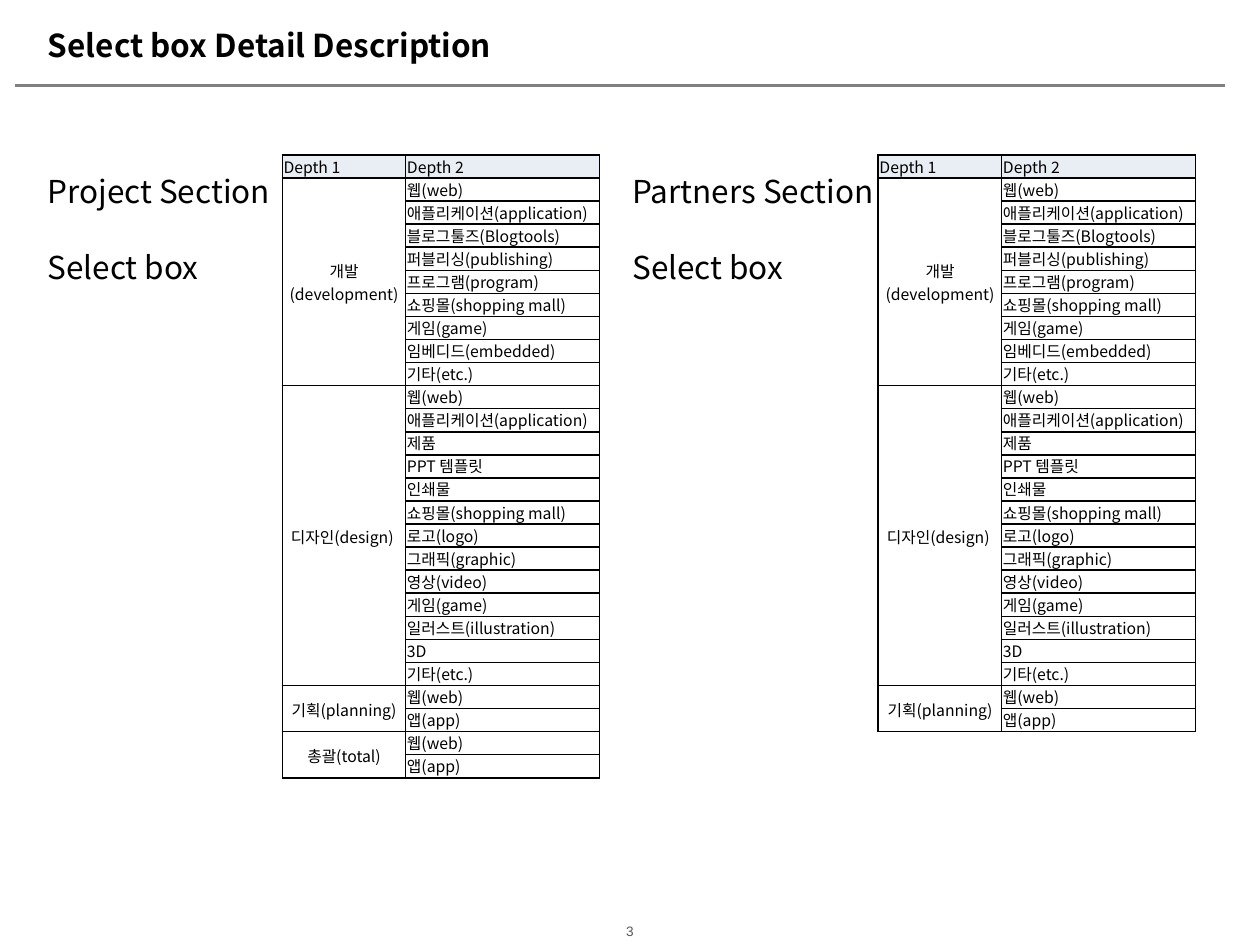
from lxml import etree
from pptx import Presentation
from pptx import util as u
from pptx.dml.color import RGBColor
from pptx.enum import shapes, text
from pptx.oxml import ns

BODY_FONT = "Noto Sans CJK KR"
COLUMN_WIDTHS = (0.98, 1.54)
HEADERS = ("Depth 1", "Depth 2")
PROJECT_MENU = {
    "개발(development)": (
        "웹(web)", "애플리케이션(application)", "블로그툴즈(Blogtools)",
        "퍼블리싱(publishing)", "프로그램(program)", "쇼핑몰(shopping mall)",
        "게임(game)", "임베디드(embedded)", "기타(etc.)"),
    "디자인(design) ": (
        "웹(web)", "애플리케이션(application)", "제품", "PPT 템플릿", "인쇄물",
        "쇼핑몰(shopping mall)", "로고(logo)", "그래픽(graphic)", "영상(video)",
        "게임(game)", "일러스트(illustration)", "3D", "기타(etc.)"),
    "기획(planning)": ("웹(web)", "앱(app)"),
    "총괄(total)": ("웹(web)", "앱(app)"),
}
PARTNERS_MENU = {depth1: options for depth1, options in PROJECT_MENU.items()
                 if depth1 != "총괄(total)"}


def color(hex_code):
    return RGBColor.from_string(hex_code)


def inches(*lengths):
    return [u.Inches(length) for length in lengths]


def apply(target, values):
    for name, value in values.items():
        setattr(target, name, value)


class SlideBuilder:
    ink, border, header_fill, cell_fill = "000000", "000000", "E9EDF4", "FFFFFF"
    centre = text.PP_ALIGN.CENTER
    middle = text.MSO_ANCHOR.MIDDLE

    def __init__(self, slide):
        self.slide = slide

    def add_words(self, paragraph, words, size, font=BODY_FONT, ink=ink, bold=False,
                  **layout):
        """Put one styled run in a paragraph; layout holds paragraph formats."""
        run = paragraph.add_run()
        run.text = words
        apply(run.font, {"name": font, "size": u.Pt(size), "bold": bold})
        run.font.color.rgb = color(ink)
        east_asian = etree.SubElement(run.font._element, ns.qn("a:ea"))
        east_asian.set("typeface", font)
        apply(paragraph, layout)

    def title(self, words, box):
        heading = self.slide.shapes.title
        apply(heading, dict(zip(("left", "top", "width", "height"), inches(*box))))
        apply(heading.text_frame, {"vertical_anchor": text.MSO_ANCHOR.TOP,
                                   "word_wrap": True,
                                   "auto_size": text.MSO_AUTO_SIZE.NONE})
        self.add_words(heading.text_frame.paragraphs[0], words, 18, bold=True,
                       alignment=text.PP_ALIGN.LEFT, line_spacing=u.Pt(21.8))

    def section_label(self, lines, box):
        frame = self.slide.shapes.add_textbox(*inches(*box)).text_frame
        frame.word_wrap = True
        for index, line in enumerate(lines):
            paragraph = frame.add_paragraph() if index else frame.paragraphs[0]
            self.add_words(paragraph, line, 18, line_spacing=u.Pt(21.8),
                           space_before=u.Pt(21.8 if index else 0))

    def page_number(self, number, box):
        frame = self.slide.shapes.add_textbox(*inches(*box)).text_frame
        apply(frame, {"margin_left": 0, "margin_right": 0, "margin_top": 0,
                      "margin_bottom": 0, "word_wrap": True,
                      "vertical_anchor": self.middle})
        self.add_words(frame.paragraphs[0], number, 7.8, "Arial", "595959",
                       alignment=self.centre)

    def rule(self, start, end):
        line = self.slide.shapes.add_connector(
            shapes.MSO_CONNECTOR.STRAIGHT, *inches(*start, *end))
        line.line.color.rgb = color("808080")
        line.line.width = u.Pt(1.5)
        etree.SubElement(line._element.spPr, ns.qn("a:effectLst"))

    def cell_format(self, cell, fill):
        properties = cell._tc.get_or_add_tcPr()
        for side in ("lnL", "lnR", "lnT", "lnB"):
            edge = etree.SubElement(properties, ns.qn(f"a:{side}"), w=str(u.Pt(1)))
            paint = etree.SubElement(edge, ns.qn("a:solidFill"))
            etree.SubElement(paint, ns.qn("a:srgbClr"), val=self.border)
        cell.fill.solid()
        cell.fill.fore_color.rgb = color(fill)
        margin = u.Inches(0.01)
        apply(cell, {"margin_left": margin, "margin_right": margin,
                     "margin_top": margin, "margin_bottom": 0,
                     "vertical_anchor": self.middle})

    def menu_table(self, menu, left, top, height):
        row_count = 1 + sum(len(options) for options in menu.values())
        table = self.slide.shapes.add_table(
            row_count, 2, *inches(left, top, sum(COLUMN_WIDTHS), height)).table
        for column, width in zip(table.columns, COLUMN_WIDTHS):
            column.width = u.Inches(width)
        for index, row in enumerate(table.rows):
            row.height = u.Inches(height / row_count)
            for cell in row.cells:
                self.cell_format(cell, self.cell_fill if index else self.header_fill)

        def fill_in(row, column, words, **layout):
            self.add_words(table.cell(row, column).text_frame.paragraphs[0],
                           words, 9, **layout)

        one_line = u.Pt(12)
        for column, header in enumerate(HEADERS):
            fill_in(0, column, header, line_spacing=one_line)
        first = 1
        for depth1, options in menu.items():
            last = first + len(options) - 1
            table.cell(first, 0).merge(table.cell(last, 0))
            fill_in(first, 0, depth1, alignment=self.centre)
            for row, option in enumerate(options, first):
                fill_in(row, 1, option, line_spacing=one_line)
            first = last + 1


def main():
    deck = Presentation()
    deck.slide_width, deck.slide_height = inches(10, 7.5)
    page = SlideBuilder(deck.slides.add_slide(deck.slide_layouts[5]))

    page.title("Select box Detail Description", (0.28, 0.15, 4.89, 0.4))
    page.rule((0.12, 0.68), (9.72, 0.68))
    sections = (("Project Section", PROJECT_MENU, 0.28, 2.24, 4.95),
                ("Partners Section", PARTNERS_MENU, 4.92, 6.97, 4.58))
    for name, menu, label_left, table_left, height in sections:
        page.menu_table(menu, table_left, 1.23, height)
        page.section_label((name, "Select box"), (label_left, 1.31, 2.28, 1.01))
    page.page_number("3", (4.57, 7.32, 0.86, 0.14))
    deck.save("out.pptx")


if __name__ == "__main__":
    main()
